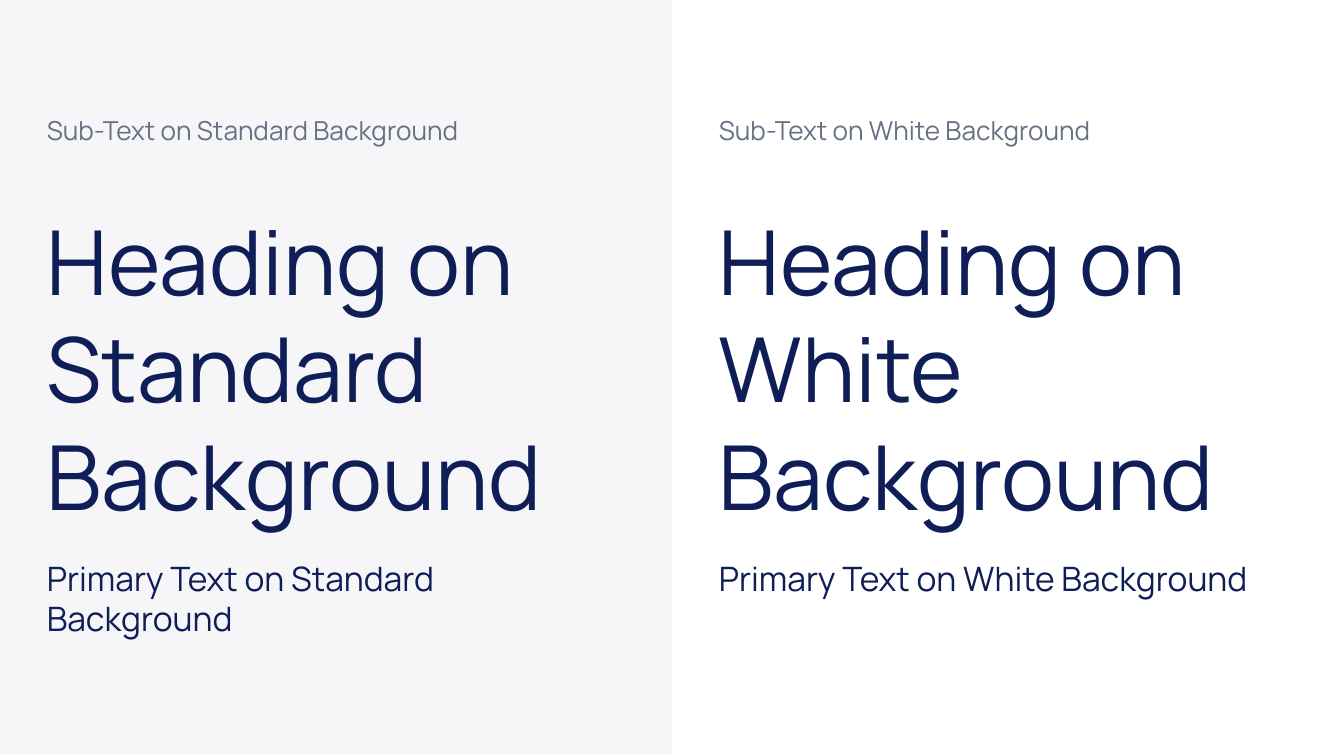
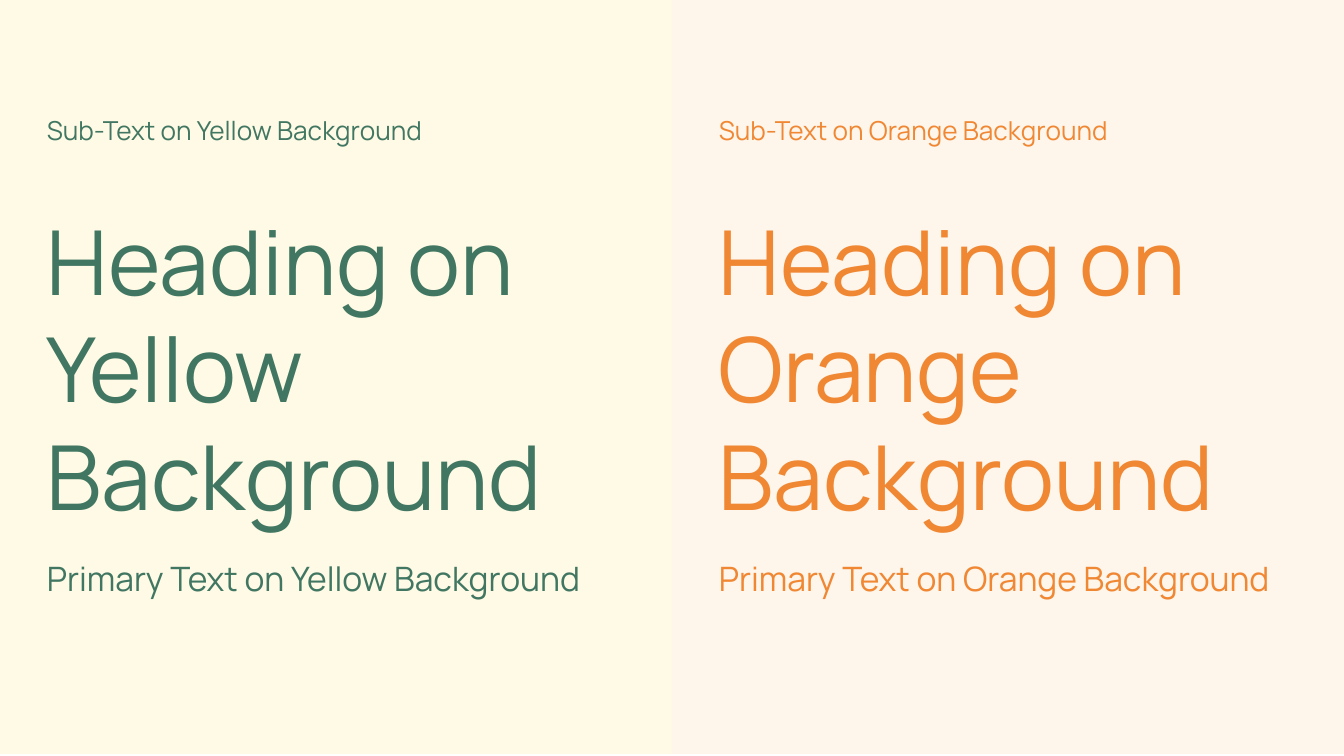
from dataclasses import dataclass

from pptx import Presentation
from pptx.dml.color import RGBColor
from pptx.enum import shapes, text
from pptx.util import Pt


@dataclass(frozen=True)
class Theme:
    font: str = "Manrope"
    sub_size: int = 14
    heading_size: int = 48
    primary_size: int = 18
    navy: str = "101E57"
    slate: str = "667085"
    green: str = "417762"
    orange: str = "F08733"
    standard_fill: str = "F6F6F9"
    white_fill: str = "FFFFFF"
    yellow_fill: str = "FFFAE5"
    orange_fill: str = "FEF5EB"


THEME = Theme()
PAGE_WIDTH, PAGE_HEIGHT = 720, 405
PANEL_WIDTH, PANEL_HEIGHT = PAGE_WIDTH / 2, 404
MARGIN = 18
TEXT_WIDTH = 323.5
INSET = 7.2


@dataclass(frozen=True)
class Sample:
    name: str
    fill: str
    ink: str
    sub_ink: str
    primary_height: float = 58.3


PAGES = [
    [
        Sample("Standard", THEME.standard_fill, THEME.navy, THEME.slate),
        Sample("White", THEME.white_fill, THEME.navy, THEME.slate, primary_height=36),
    ],
    [
        Sample("Yellow", THEME.yellow_fill, THEME.green, THEME.green),
        Sample("Orange", THEME.orange_fill, THEME.orange, THEME.orange),
    ],
]


def write(frame, words, *, font, size, color):
    span = frame.paragraphs[0].add_run()
    span.text = words
    span.font.name = font
    span.font.size = Pt(size)
    span.font.color.rgb = RGBColor.from_string(color)


class Builder:
    def __init__(self, theme):
        self.theme = theme
        self.deck = Presentation()
        self.deck.slide_width = Pt(PAGE_WIDTH)
        self.deck.slide_height = Pt(PAGE_HEIGHT)
        self.page = None

    def new_page(self):
        self.page = self.deck.slides.add_slide(self.deck.slide_layouts[6])

    def panel(self, left, color):
        panel = self.page.shapes.add_shape(
            shapes.MSO_SHAPE.RECTANGLE, Pt(left), Pt(0), Pt(PANEL_WIDTH), Pt(PANEL_HEIGHT)
        )
        panel.shadow.inherit = False
        panel.fill.solid()
        panel.fill.fore_color.rgb = RGBColor.from_string(color)
        panel.line.fill.background()

    def text_box(self, words, left, top, height, size, color):
        box = self.page.shapes.add_textbox(Pt(left), Pt(top), Pt(TEXT_WIDTH), Pt(height))
        frame = box.text_frame
        frame.word_wrap = True
        frame.auto_size = text.MSO_AUTO_SIZE.SHAPE_TO_FIT_TEXT
        frame.margin_left = frame.margin_right = Pt(INSET)
        frame.margin_top = frame.margin_bottom = Pt(INSET)
        write(frame, words, font=self.theme.font, size=size, color=color)

    def sample_text(self, sample, left):
        """Show the three text styles in the inks of one background."""
        theme = self.theme
        rows = [
            ("Sub-Text", 54, 31.7, theme.sub_size, sample.sub_ink),
            ("Heading", 103, 189, theme.heading_size, sample.ink),
            ("Primary Text", 291.6, sample.primary_height, theme.primary_size, sample.ink),
        ]
        for style, top, height, size, color in rows:
            words = f"{style} on {sample.name} Background"
            self.text_box(words, left, top, height, size, color)


def main():
    builder = Builder(THEME)
    for samples in PAGES:
        builder.new_page()
        for column, sample in enumerate(samples):
            builder.panel(column * PANEL_WIDTH, sample.fill)
        for column, sample in enumerate(samples):
            builder.sample_text(sample, column * PANEL_WIDTH + MARGIN)
    builder.deck.save("out.pptx")


if __name__ == "__main__":
    main()
